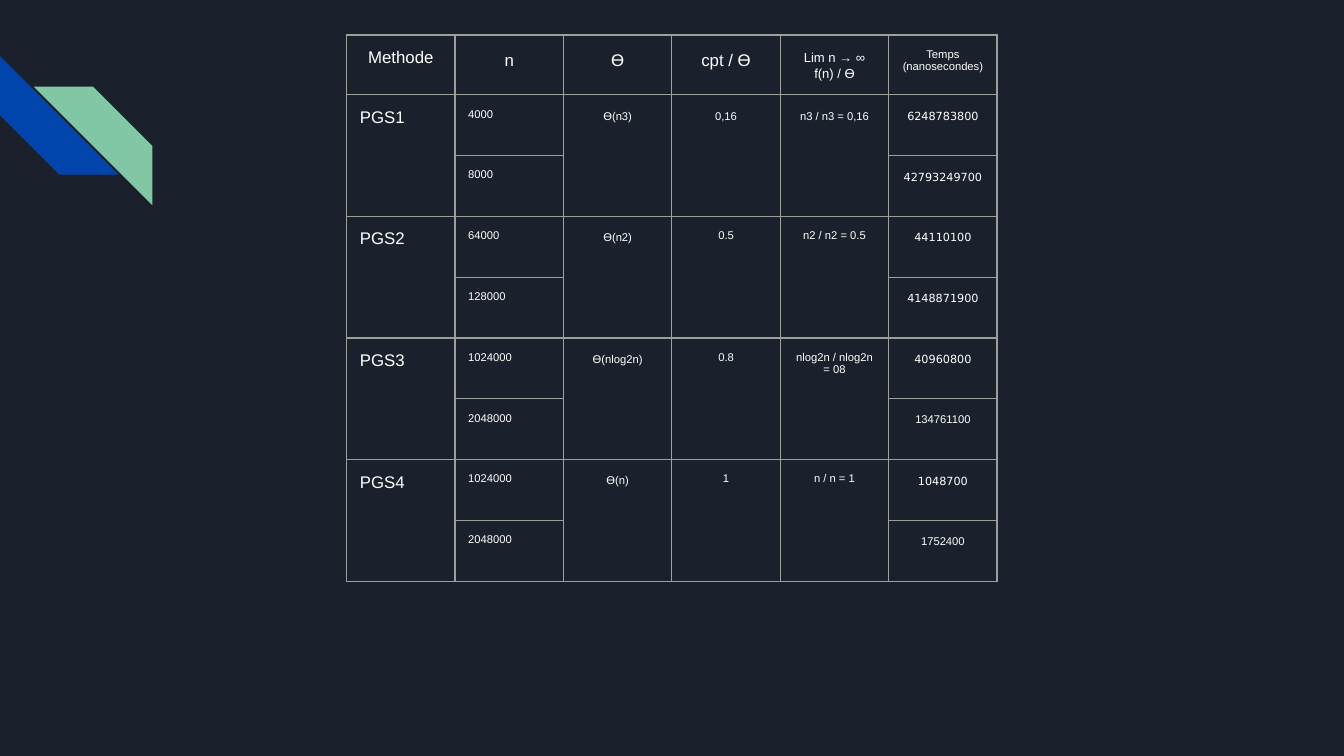
from lxml import etree
from pptx import Presentation
from pptx.dml import color
from pptx.enum import shapes, text
from pptx.oxml import ns
from pptx.util import Cm, Pt

BACKGROUND, BLUE, GREEN = "1B212C", "0145AC", "82C7A5"
WHITE, GREY = "FFFFFF", "9E9E9E"
SANS, DIGITS = "Arial", "DejaVu Sans"

LEFT = {"alignment": text.PP_ALIGN.LEFT}
CENTRED = {"alignment": text.PP_ALIGN.CENTER}
LOOSE = {**CENTRED, "line_spacing": 1.15, "space_before": Pt(12)}
AIRY = {**LOOSE, "space_after": Pt(12)}

# Text, size, paragraph format
HEADERS = [
    ("Methode", 9, CENTRED),
    ("n", 9, AIRY),
    ("Ɵ", 9, AIRY),
    ("cpt / Ɵ", 9, AIRY),
    ("Lim n → ∞ f(n) / Ɵ", 7, AIRY),
    ("Temps\n(nanosecondes)", 6, CENTRED),
]

# Method, order, ratio, limit, order format, ratio format, (n, time, time font) per run
METHODS = [
    ("PGS1", "Ɵ(n3)", "0,16", "n3 / n3 = 0,16", AIRY, LOOSE,
     [("4000", "6248783800", DIGITS), ("8000", "42793249700", DIGITS)]),
    ("PGS2", "Ɵ(n2)", "0.5", "n2 / n2 = 0.5", AIRY, CENTRED,
     [("64000", "44110100", DIGITS), ("128000", "4148871900", DIGITS)]),
    ("PGS3", "Ɵ(nlog2n)", "0.8", "nlog2n / nlog2n = 08", LOOSE, CENTRED,
     [("1024000", "40960800", DIGITS), ("2048000", "134761100", SANS)]),
    ("PGS4", "Ɵ(n)", "1", "n / n = 1", LOOSE, CENTRED,
     [("1024000", "1048700", DIGITS), ("2048000", "1752400", SANS)]),
]


def rgb(value):
    return color.RGBColor.from_string(value)


def add_stripe(slide, left, top, fill, rotation=0, mirrored=False):
    shape = slide.shapes.add_shape(
        shapes.MSO_SHAPE.DIAGONAL_STRIPE, Cm(left), Cm(top), Cm(2.24), Cm(2.24))
    shape.adjustments[0] = 0.5
    shape.shadow.inherit = False
    shape.fill.solid()
    shape.fill.fore_color.rgb = rgb(fill)
    shape.line.fill.background()
    shape.rotation = rotation
    if mirrored:
        shape.element.spPr.xfrm.set("flipH", "1")


def add_borders(cell):
    properties = cell._tc.get_or_add_tcPr()
    for position, side in enumerate(("a:lnL", "a:lnR", "a:lnT", "a:lnB")):
        line = etree.Element(ns.qn(side), w=str(Pt(0.75)))
        fill = etree.SubElement(line, ns.qn("a:solidFill"))
        etree.SubElement(fill, ns.qn("a:srgbClr"), val=GREY)
        properties.insert(position, line)


def add_grid(slide, rows, columns):
    """Add the table with bordered, unfilled cells."""
    width, height, header_height = 2.05, 1.15, 0.81
    table = slide.shapes.add_table(
        rows, columns, Cm(6.55), Cm(0.66), Cm(width * columns),
        Cm(header_height + height * (rows - 1))).table
    table.first_row = table.horz_banding = False
    for column in table.columns:
        column.width = Cm(width)
    for row in table.rows:
        row.height = Cm(height)
    table.rows[0].height = Cm(header_height)
    for cell in table.iter_cells():
        cell.fill.background()
        add_borders(cell)
        for side in ("left", "right", "top", "bottom"):
            setattr(cell, f"margin_{side}", Cm(0.25))
    return table


def write(cell, content, size, paragraph_format, font_name=SANS):
    cell.text = content
    for paragraph in cell.text_frame.paragraphs:
        for name, value in paragraph_format.items():
            setattr(paragraph, name, value)
        for run in paragraph.runs:
            for name, value in {"size": Pt(size), "name": font_name}.items():
                setattr(run.font, name, value)
            run.font.color.rgb = rgb(WHITE)


def write_method(table, top, method):
    """Fill one method's rows, with all but n and time merged over them."""
    name, order, ratio, limit, order_format, ratio_format, runs = method
    merged = {
        0: (name, 9, LEFT),
        2: (order, 6, order_format),
        3: (ratio, 6, ratio_format),
        4: (limit, 6, ratio_format),
    }
    for column, content in merged.items():
        cell = table.cell(top, column)
        cell.merge(table.cell(top + len(runs) - 1, column))
        write(cell, *content)
    for row, (count, time, time_font) in enumerate(runs, top):
        write(table.cell(row, 1), count, 6, LEFT)
        write(table.cell(row, 5), time, 6, LOOSE, time_font)


def main():
    presentation = Presentation()
    presentation.slide_width, presentation.slide_height = Cm(25.4), Cm(14.29)
    slide = presentation.slides.add_slide(presentation.slide_layouts[6])
    slide.background.fill.solid()
    slide.background.fill.fore_color.rgb = rgb(BACKGROUND)

    add_stripe(slide, 0, 1.06, BLUE, rotation=270)
    add_stripe(slide, 0.64, 1.64, GREEN, mirrored=True)

    table = add_grid(slide, 1 + 2 * len(METHODS), len(HEADERS))
    for column, header in enumerate(HEADERS):
        write(table.cell(0, column), *header)
    for index, method in enumerate(METHODS):
        write_method(table, 1 + 2 * index, method)

    presentation.save("out.pptx")


if __name__ == "__main__":
    main()
